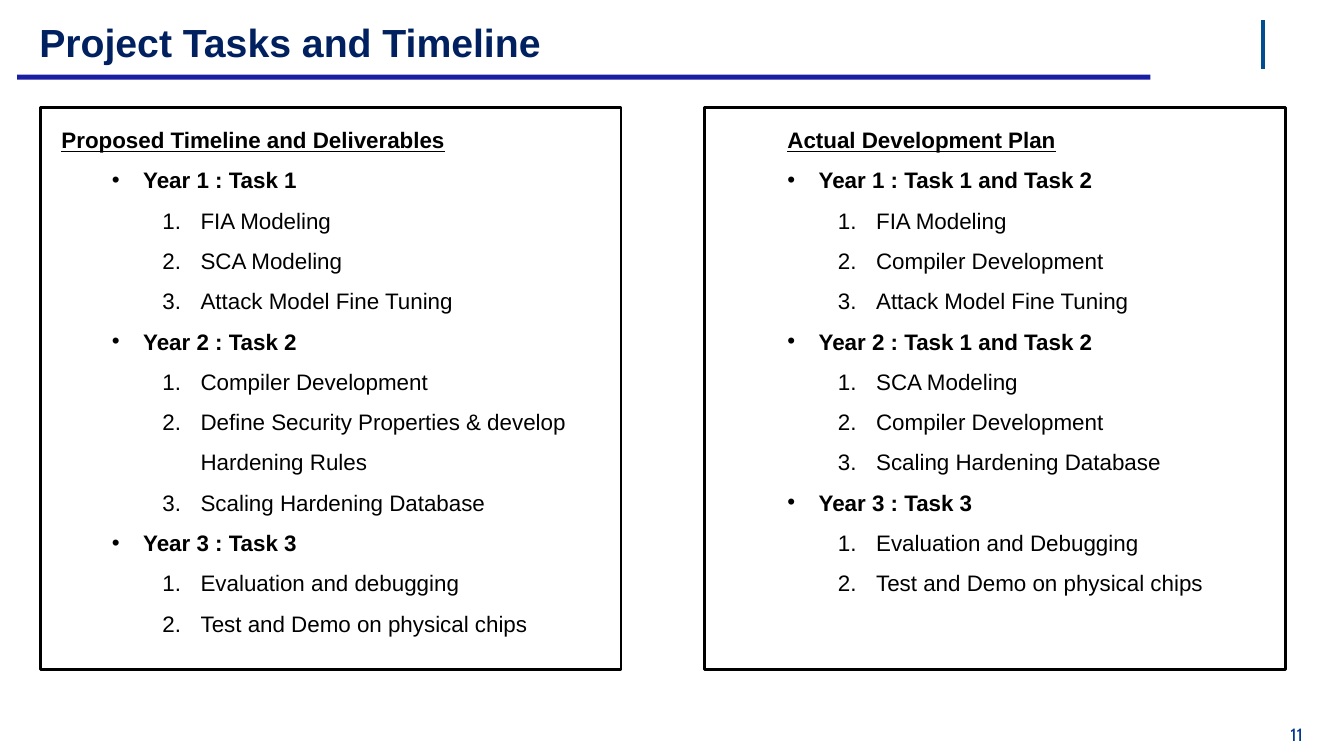
from lxml import etree
from pptx import Presentation
from pptx import util as u
from pptx.dml import color
from pptx.enum import shapes, text
from pptx.oxml import ns


def rgb(value):
    return color.RGBColor.from_string(value)


def apply(target, formats):
    for name, value in formats.items():
        setattr(target, name, value)


presentation = Presentation()
presentation.slide_width = u.Inches(13.33)
presentation.slide_height = u.Inches(7.5)
slide = presentation.slides.add_slide(presentation.slide_layouts[3])
title, proposed, actual = slide.placeholders

rule = slide.shapes.add_shape(
    shapes.MSO_SHAPE.RECTANGLE, u.Inches(0.17), u.Inches(0.74), u.Inches(11.24), u.Inches(0.05))
rule.shadow.inherit = False
rule.fill.solid()
rule.fill.fore_color.rgb = rgb("191EA2")
rule.line.fill.background()

divider = slide.shapes.add_connector(
    shapes.MSO_CONNECTOR.STRAIGHT, u.Inches(12.53), u.Inches(0.2), u.Inches(12.53), u.Inches(0.68))
divider.line.color.rgb = rgb("024C90")
divider.line.width = u.Pt(3)
etree.SubElement(divider._element.spPr, ns.qn("a:effectLst"))

apply(title, {"left": u.Inches(0.25), "top": u.Inches(0.03),
              "width": u.Inches(10.4), "height": u.Inches(0.77)})
margins = ("margin_left", "margin_top", "margin_right", "margin_bottom")
apply(title.text_frame, {"text": "Project Tasks and Timeline", "word_wrap": True,
                         "auto_size": text.MSO_AUTO_SIZE.NONE,
                         "vertical_anchor": text.MSO_ANCHOR.MIDDLE,
                         **dict.fromkeys(margins, u.Inches(0.14))})
paragraph = title.text_frame.paragraphs[0]
paragraph.alignment = text.PP_ALIGN.LEFT
apply(paragraph.runs[0].font, {"name": "Arial", "size": u.Pt(28), "bold": True})
paragraph.runs[0].font.color.rgb = rgb("002060")

proposed_plan = [
    ("Year 1 : Task 1", ["FIA Modeling", "SCA Modeling", "Attack Model Fine Tuning"]),
    ("Year 2 : Task 2", ["Compiler Development",
                         "Define Security Properties & develop Hardening Rules",
                         "Scaling Hardening Database"]),
    ("Year 3 : Task 3", ["Evaluation and debugging", "Test and Demo on physical chips"]),
]
actual_plan = [
    ("Year 1 : Task 1 and Task 2", ["FIA Modeling", "Compiler Development",
                                    "Attack Model Fine Tuning"]),
    ("Year 2 : Task 1 and Task 2", ["SCA Modeling", "Compiler Development",
                                    "Scaling Hardening Database"]),
    ("Year 3 : Task 3", ["Evaluation and Debugging", "Test and Demo on physical chips"]),
]
heading_style = {"bold": True, "underline": True}
year_style = {"bold": True, "underline": False}
task_style = {"bold": False, "underline": False}
bullet = ("a:buChar", {"char": "•"})
number = ("a:buAutoNum", {"type": "arabicPeriod"})

columns = [
    (proposed, 0.01, 6.11, 0.4, "Proposed Timeline and Deliverables", proposed_plan, 2, 0.5),
    (actual, 7.21, 5.71, 6.99, "Actual Development Plan", actual_plan, 1, 0),
]
for body, left, height, frame_left, heading, plan, year_level, shift in columns:
    apply(body, {"left": u.Inches(left), "top": u.Inches(1.07),
                 "width": u.Inches(5.76), "height": u.Inches(height)})
    apply(body.text_frame, {"word_wrap": True, "auto_size": text.MSO_AUTO_SIZE.NONE,
                            "vertical_anchor": text.MSO_ANCHOR.TOP})

    lines = [(heading, 1, 0.5, 0, ("a:buNone", {}), heading_style)]
    for year, tasks in plan:
        lines.append((year, year_level, 0.81 + shift, -0.31, bullet, year_style))
        for task in tasks:
            lines.append((task, year_level + 1, 1.38 + shift, -0.38, number, task_style))

    for index, (words, level, margin, indent, marker, style) in enumerate(lines):
        paragraph = body.text_frame.paragraphs[0] if index == 0 else body.text_frame.add_paragraph()
        apply(paragraph, {"text": words, "level": level, "line_spacing": 1.5,
                          "space_before": u.Pt(0), "space_after": u.Pt(0),
                          "alignment": text.PP_ALIGN.LEFT})
        properties = paragraph._p.get_or_add_pPr()
        properties.set("marL", str(u.Inches(margin)))
        properties.set("indent", str(u.Inches(indent)))
        etree.SubElement(properties, ns.qn("a:buFont"), typeface="Arial")
        etree.SubElement(properties, ns.qn(marker[0]), marker[1])
        font = paragraph.runs[0].font
        apply(font, {"name": "Arial", "size": u.Pt(16), **style})
        font.color.rgb = rgb("000000")

    frame = slide.shapes.add_shape(
        shapes.MSO_SHAPE.RECTANGLE, u.Inches(frame_left), u.Inches(1.07),
        u.Inches(5.76), u.Inches(5.57))
    frame.shadow.inherit = False
    frame.fill.background()
    frame.line.color.rgb = rgb("000000")
    frame.line.width = u.Pt(2)

page_number = slide.shapes.add_textbox(
    u.Inches(12.75), u.Inches(7.18), u.Inches(0.22), u.Inches(0.21))
apply(page_number.text_frame, {"text": "11", "word_wrap": False,
                               "auto_size": text.MSO_AUTO_SIZE.SHAPE_TO_FIT_TEXT,
                               **dict.fromkeys(margins, 0)})
paragraph = page_number.text_frame.paragraphs[0]
paragraph.alignment = text.PP_ALIGN.CENTER
apply(paragraph.runs[0].font, {"name": "Cabin", "size": u.Pt(12.7)})
paragraph.runs[0].font.color.rgb = rgb("003893")

presentation.save("out.pptx")
